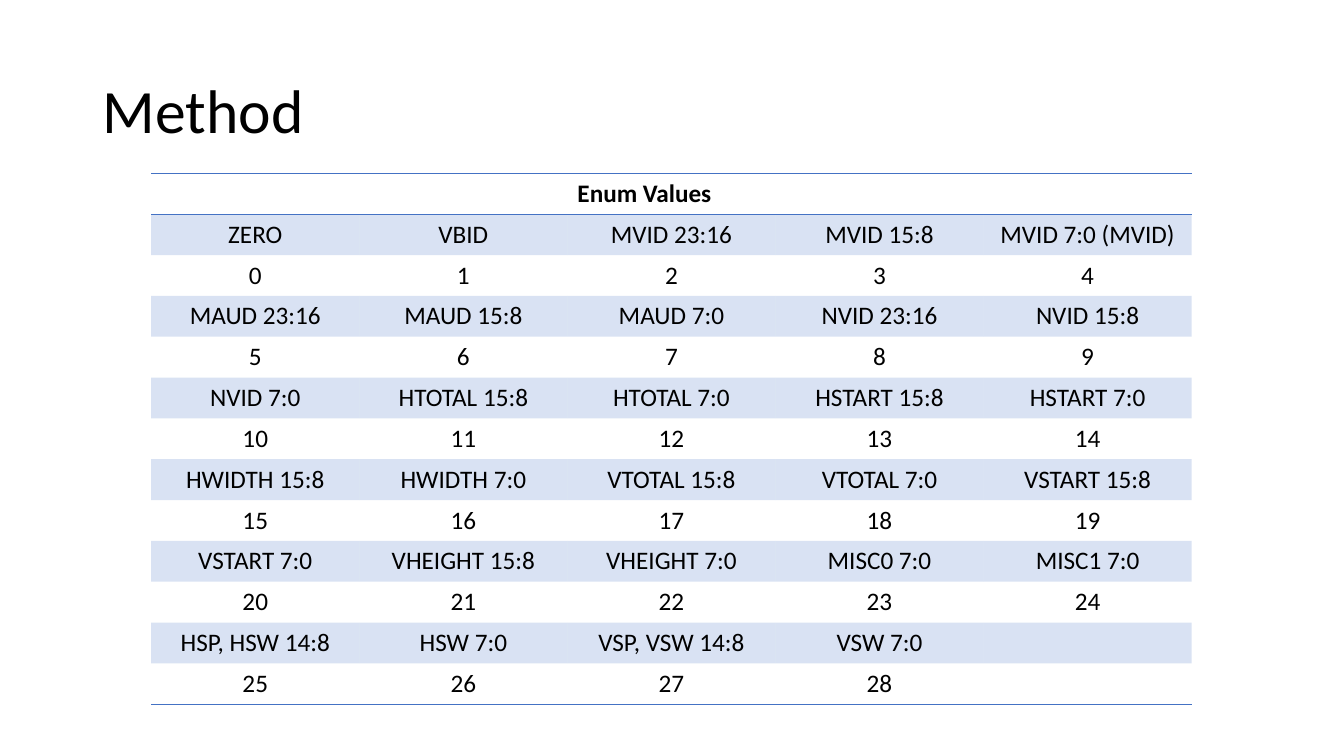
from lxml import etree
from pptx import Presentation
from pptx.dml.color import RGBColor
from pptx.enum.text import MSO_ANCHOR, PP_ALIGN
from pptx.oxml.ns import qn
from pptx.util import Inches, Pt

LEFT, CENTER = PP_ALIGN.LEFT, PP_ALIGN.CENTER
MIDDLE = MSO_ANCHOR.MIDDLE
BLUE = "4472C4"
NO_STYLE = "{2D5ABB26-0587-4C30-8999-92F81FD0307C}"
COLS = 5
FIELDS = [
    "ZERO", "VBID", "MVID 23:16", "MVID 15:8", "MVID 7:0 (MVID)",
    "MAUD 23:16", "MAUD 15:8", "MAUD 7:0", "NVID 23:16", "NVID 15:8",
    "NVID 7:0", "HTOTAL 15:8", "HTOTAL 7:0", "HSTART 15:8", "HSTART 7:0",
    "HWIDTH 15:8", "HWIDTH 7:0", "VTOTAL 15:8", "VTOTAL 7:0", "VSTART 15:8",
    "VSTART 7:0", "VHEIGHT 15:8", "VHEIGHT 7:0", "MISC0 7:0", "MISC1 7:0",
    "HSP, HSW 14:8", "HSW 7:0", "VSP, VSW 14:8", "VSW 7:0",
]


def rgb(color):
    return RGBColor.from_string(color)


def write(tf, text, size=18, bold=False, align=CENTER, spacing=1.0):
    p = tf.paragraphs[0]
    p.alignment = align
    p.line_spacing = spacing
    r = p.add_run()
    r.text = text
    r.font.name = "Calibri"
    r.font.size = Pt(size)
    r.font.bold = bold
    r.font.color.rgb = rgb("000000")


prs = Presentation()
prs.slide_width, prs.slide_height = Inches(13.33), Inches(7.5)
s = prs.slides.add_slide(prs.slide_layouts[6])

sp = s.shapes.add_textbox(Inches(0.92), Inches(0.4), Inches(11.5), Inches(1.45))
sp.text_frame.word_wrap = True
sp.text_frame.vertical_anchor = MIDDLE
write(sp.text_frame, "Method", size=44, align=LEFT, spacing=0.9)

rows = 1 + 2 * -(-len(FIELDS) // COLS)
table = s.shapes.add_table(rows, COLS, Inches(1.5), Inches(1.72),
                           Inches(10.32), Inches(5.27)).table
table.first_row = table.horz_banding = False
table._tbl.tblPr.find(qn("a:tableStyleId")).text = NO_STYLE

write(table.cell(0, 2).text_frame, "Enum Values", bold=True, align=LEFT)
for i, field in enumerate(FIELDS):
    row, col = 1 + 2 * (i // COLS), i % COLS
    write(table.cell(row, col).text_frame, field)
    write(table.cell(row + 1, col).text_frame, str(i))

for row in range(rows):
    edges = {0: ["a:lnT", "a:lnB"], rows - 1: ["a:lnB"]}.get(row, [])
    for col in range(COLS):
        cell = table.cell(row, col)
        tcPr = cell._tc.get_or_add_tcPr()
        if row % 2:
            cell.fill.solid()
            cell.fill.fore_color.rgb = rgb(BLUE)
            tint = tcPr.find(qn("a:solidFill"))[0]
            etree.SubElement(tint, qn("a:alpha"), val="20000")
        else:
            cell.fill.background()
        for position, edge in enumerate(edges):
            ln = etree.Element(qn(edge), w=str(Pt(1)))
            fill = etree.SubElement(ln, qn("a:solidFill"))
            etree.SubElement(fill, qn("a:srgbClr"), val=BLUE)
            tcPr.insert(position, ln)

prs.save("out.pptx")
